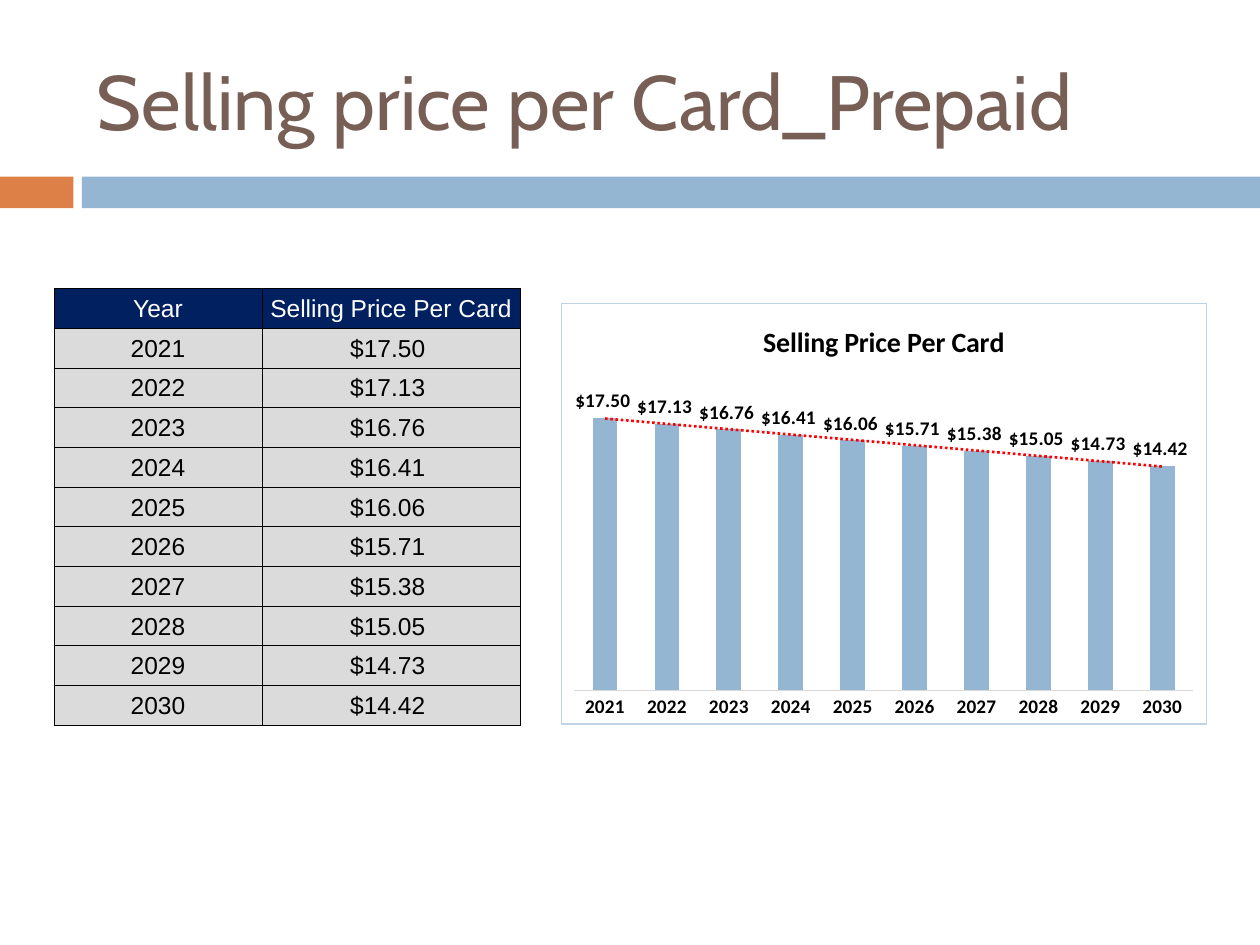
import pptx
import pptx.chart.data
import pptx.dml.color
import pptx.enum.chart
import pptx.enum.text
import pptx.oxml
import pptx.oxml.ns
import pptx.util

Cm = pptx.util.Cm
Pt = pptx.util.Pt
ALIGN = pptx.enum.text.PP_ALIGN
MID = pptx.enum.text.MSO_ANCHOR.MIDDLE
HEAD = "Selling Price Per Card"
PRICES = {
    "2021": 17.5, "2022": 17.13, "2023": 16.76, "2024": 16.41, "2025": 16.06,
    "2026": 15.71, "2027": 15.38, "2028": 15.05, "2029": 14.73, "2030": 14.42,
}
FORMAT = r'"$"#,##0.00_);[Red]\("$"#,##0.00\)'


def tint(code):
    """Turn a hex string into a colour."""
    return pptx.dml.color.RGBColor.from_string(code)


def style(font, size, color="000000", face="Calibri", bold=False):
    """Set size, colour, face and weight of a font."""
    font.size = Pt(size)
    font.color.rgb = tint(color)
    font.name = face
    font.bold = bold


def put(frame, text, align=ALIGN.LEFT, **form):
    """Write one formatted paragraph into a text frame."""
    para = frame.paragraphs[0]
    para.alignment = align
    run = para.add_run()
    run.text = text
    style(run.font, **form)


def parse_xml(body):
    """Build a chart or drawing element from its markup."""
    head, rest = body.split(">", 1)
    spaces = pptx.oxml.ns.nsdecls("a", "c")
    return pptx.oxml.parse_xml(f"{head} {spaces}>{rest}")


def stroke(tag, color, width, dash="solid"):
    """Build a line element with the given tag."""
    return (f'<{tag} w="{Pt(width)}"><a:solidFill><a:srgbClr val="{color}"/>'
            f'</a:solidFill><a:prstDash val="{dash}"/></{tag}>')


def header(slide, left, top, width, height):
    """Place the title with the two-part band below it."""
    box = slide.shapes.add_textbox(left + Cm(1.7), top + Cm(0.64), Cm(22.66), Cm(2.74))
    box.text_frame.word_wrap = True
    box.text_frame.vertical_anchor = MID
    put(box.text_frame, "Selling price per Card_Prepaid",
        size=44, color="775F55", face="Cabin")
    thick = Cm(0.64)
    split = Cm(1.65)
    for start, end, color in ((0, Cm(1.48), "DD8047"), (split, width, "94B6D2")):
        bar = slide.shapes.add_shape(
            pptx.enum.shapes.MSO_SHAPE.RECTANGLE,
            left + start, top + height - thick, end - start, thick)
        bar.shadow.inherit = False
        bar.fill.solid()
        bar.fill.fore_color.rgb = tint(color)
        bar.line.fill.background()


def fill_cell(cell, text, back, color):
    """Fill, border and label one table cell."""
    cell.fill.solid()
    cell.fill.fore_color.rgb = tint(back)
    cell.vertical_anchor = MID
    cell.margin_left = cell.margin_right = cell.margin_top = Cm(0.02)
    cell.margin_bottom = 0
    put(cell.text_frame, text, ALIGN.CENTER, size=14, color=color, face="Arial")
    props = cell._tc.get_or_add_tcPr()
    for spot, side in enumerate("LRTB"):
        props.insert(spot, parse_xml(stroke(f"a:ln{side}", "000000", 0.5)))


def price_table(slide, left, top, width, height):
    """Place the table of yearly prices."""
    rows = [("Year", HEAD)]
    rows += [(year, f"${price:.2f} ") for year, price in PRICES.items()]
    table = slide.shapes.add_table(len(rows), 2, left, top, width, height).table
    first = Cm(4.19)
    table.columns[0].width = first
    table.columns[1].width = width - first
    for r, row in enumerate(rows):
        table.rows[r].height = height // len(rows)
        back, color = ("DBDBDB", "000000") if r else ("002060", "FFFFFF")
        for c, text in enumerate(row):
            fill_cell(table.cell(r, c), text, back, color)


def price_chart(slide, left, top, width, height):
    """Place the column chart with its linear trend."""
    data = pptx.chart.data.CategoryChartData(number_format=FORMAT)
    data.categories = list(PRICES)
    data.add_series("Series 1", list(PRICES.values()))
    kind = pptx.enum.chart.XL_CHART_TYPE.COLUMN_CLUSTERED
    chart = slide.shapes.add_chart(kind, left, top, width, height, data).chart
    chart.has_legend = False
    style(chart.font, 11, bold=True)
    chart.has_title = True
    put(chart.chart_title.text_frame, HEAD, ALIGN.CENTER, size=16, bold=True)
    chart.chart_title.include_in_layout = False

    years = chart.category_axis
    years.major_tick_mark = pptx.enum.chart.XL_TICK_MARK.NONE
    years.format.line.color.rgb = tint("D9D9D9")
    years.format.line.width = Pt(0.75)
    style(years.tick_labels.font, 11, bold=True)
    scale = chart.value_axis
    scale.has_major_gridlines = False
    scale.minimum_scale, scale.maximum_scale = 0, 20
    scale.visible = False

    plot = chart.plots[0]
    plot.gap_width = 150
    plot.overlap = -25
    plot.vary_by_categories = False
    bars = plot.series[0]
    bars.format.fill.solid()
    bars.format.fill.fore_color.rgb = tint("94B6D2")
    labels = bars.data_labels
    labels.show_value = True
    labels.number_format = FORMAT
    labels.number_format_is_linked = False
    labels.position = pptx.enum.chart.XL_LABEL_POSITION.OUTSIDE_END
    style(labels.font, 11, bold=True)

    root = chart.element
    root.xpath(".//c:ser/c:cat")[0].addprevious(parse_xml(
        f'<c:trendline><c:spPr>{stroke("a:ln", "FF0000", 1.5, "sysDot")}</c:spPr>'
        '<c:trendlineType val="linear"/><c:dispRSqr val="0"/>'
        '<c:dispEq val="0"/></c:trendline>'))
    root.xpath("c:chart")[0].addnext(parse_xml(
        '<c:spPr><a:solidFill><a:srgbClr val="FFFFFF"/></a:solidFill>'
        f'{stroke("a:ln", "BFD3E4", 0.75)}</c:spPr>'))
    area = root.xpath(".//c:plotArea")[0]
    for old in area.xpath("c:layout"):
        area.remove(old)
    spots = "".join(f'<c:{key} val="{val}"/>' for key, val in (
        ("layoutTarget", "inner"), ("xMode", "edge"), ("yMode", "edge"),
        ("x", 0.02), ("y", 0.18), ("w", 0.96), ("h", 0.74)))
    area.insert(0, parse_xml(
        f"<c:layout><c:manualLayout>{spots}</c:manualLayout></c:layout>"))


def main():
    """Build and save the slide."""
    deck = pptx.Presentation()
    deck.slide_width, deck.slide_height = Cm(25.4), Cm(19.05)
    slide = deck.slides.add_slide(deck.slide_layouts[6])
    header(slide, 0, 0, deck.slide_width, Cm(4.2))
    price_table(slide, Cm(1.09), Cm(5.82), Cm(9.4), Cm(8.8))
    price_chart(slide, Cm(11.3), Cm(6.1), Cm(13.03), Cm(8.51))
    deck.save("out.pptx")


if __name__ == "__main__":
    main()
